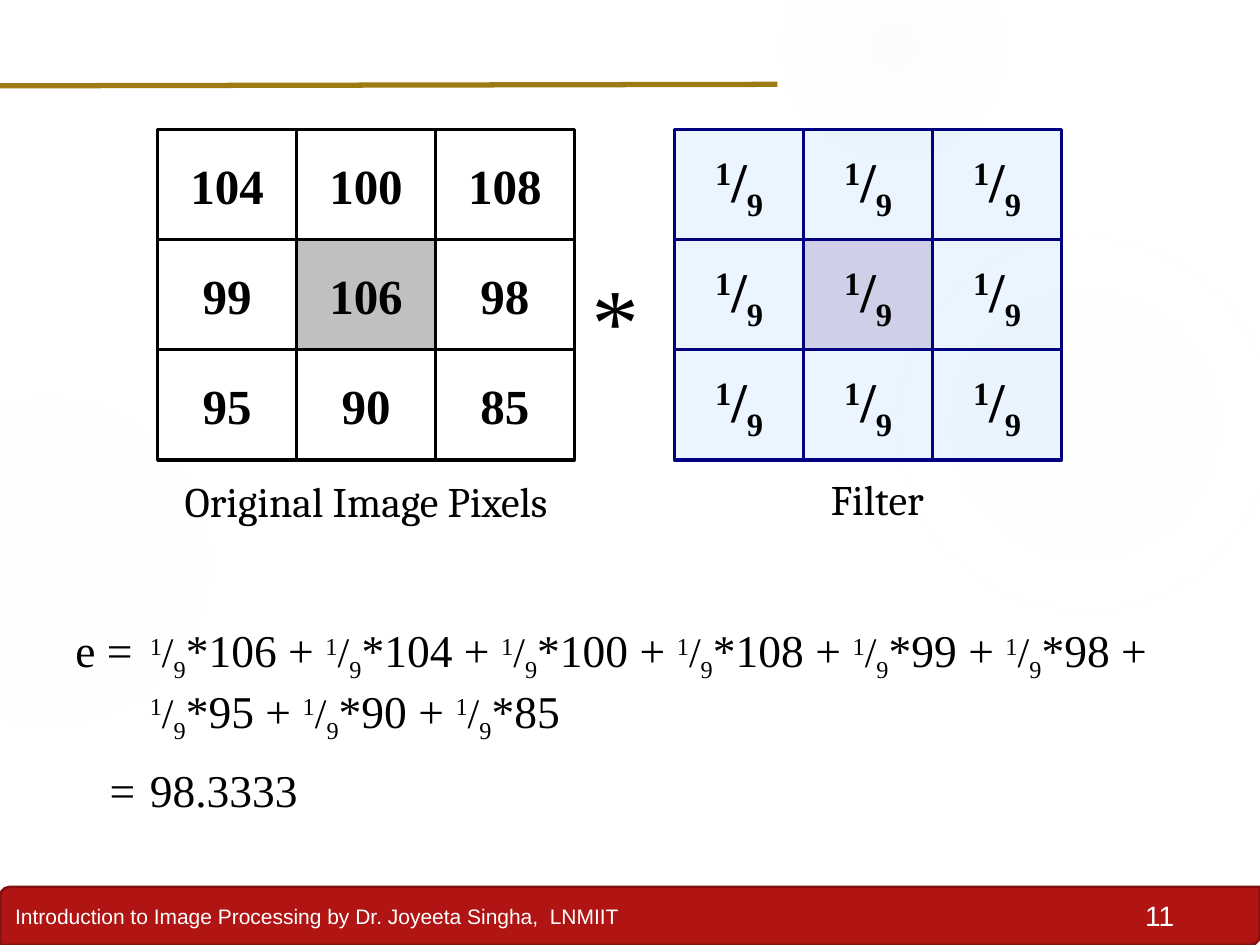
from lxml import etree
from pptx import Presentation
from pptx.dml.color import RGBColor
from pptx.enum.shapes import MSO_CONNECTOR, MSO_SHAPE
from pptx.enum.text import MSO_ANCHOR, PP_ALIGN
from pptx.oxml import parse_xml
from pptx.oxml.ns import nsdecls, qn
from pptx.util import Cm, Pt

RECT, OVAL, BAR = MSO_SHAPE.RECTANGLE, MSO_SHAPE.OVAL, MSO_SHAPE.ROUND_2_DIAG_RECTANGLE
LEFT, CENTER, RIGHT = PP_ALIGN.LEFT, PP_ALIGN.CENTER, PP_ALIGN.RIGHT
TOP, MIDDLE = MSO_ANCHOR.TOP, MSO_ANCHOR.MIDDLE
SUPER, SUB = 30, -25

# Content
PIXELS = [[104, 100, 108], [99, 106, 98], [95, 90, 85]]
TERM_LINES = [[106, 104, 100, 108, 99, 98], [95, 90, 85]]
RESULT = "98.3333"
FOOTER = "Introduction to Image Processing by Dr. Joyeeta Singha,  LNMIIT"
PAGE = "11"
# Background circles: left, top, diameter (cm), gradient stops (position %, opacity %)
CIRCLES = [
    (17.96, 4.65, 7.82, [(0, 7), (36, 6), (69, 0)]),
    (15.8, -1.27, 4.45, [(0, 14), (36, 7), (73, 0)]),
    (-2.34, 8.05, 6.55, [(0, 8), (36, 8), (72, 0)]),
]

# Grids (cm)
GRID_TOP, ROW_H = 2.61, 2.22
PIXEL_LEFT, PIXEL_W = 3.18, 2.8
FILTER_LEFT, FILTER_W = 13.6, 2.6

THEME = {
    "serif": "Times New Roman", "caption": "Cambria", "sans": "Arial",
    "black": "000000", "white": "FFFFFF", "grey": "C0C0C0",
    "red": "B01513", "dark_red": "82100E", "gold": "9E7B12",
    "sky": "99CCFF", "navy": "000080", "halo": "F3F3F3",
    "cell": 28, "weight": 32, "equation": 26, "fraction": 24,
    "label": 24, "star": 54, "footer": 12, "page": 16,
}


def color(name):
    return RGBColor.from_string(THEME[name])


def add_run(p, text, size, font="serif", ink="black", bold=False, italic=False, base=0):
    r = p.add_run()
    r.text = text
    f = r.font
    f.name, f.size = THEME[font], Pt(THEME[size])
    f.bold, f.italic = bold, italic
    f.color.rgb = color(ink)
    if base:
        r._r.get_or_add_rPr().set("baseline", str(base * 1000))


def add_fraction(p, size, bold=False):
    for text, base in (("1", SUPER), ("/", 0), ("9", SUB)):
        add_run(p, text, size, bold=bold, base=base)


def first_paragraph(s, align, anchor=TOP, wrap=True):
    tf = s.text_frame
    tf.word_wrap, tf.vertical_anchor = wrap, anchor
    p = tf.paragraphs[0]
    p.alignment = align
    return p


def add_box(shapes, kind, x, y, w, h, fill=None, line=None, width=2, opacity=100):
    s = shapes.add_shape(kind, Cm(x), Cm(y), Cm(w), Cm(h))
    s.shadow.inherit = False
    if fill:
        s.fill.solid()
        s.fill.fore_color.rgb = color(fill)
        if opacity < 100:
            clr = s.fill._xPr.find(qn("a:solidFill"))[0]
            etree.SubElement(clr, qn("a:alpha"), val=str(opacity * 1000))
    if line:
        s.line.color.rgb = color(line)
        s.line.width = Pt(width)
    else:
        s.line.fill.background()
    return s


def add_circle(shapes, x, y, d, stops):
    s = add_box(shapes, OVAL, x, y, d, d)
    gs = "".join(
        f'<a:gs pos="{pos * 1000}"><a:srgbClr val="{THEME["halo"]}">'
        f'<a:alpha val="{a * 1000}"/></a:srgbClr></a:gs>' for pos, a in stops)
    grad = parse_xml(
        f'<a:gradFill {nsdecls("a")} rotWithShape="1"><a:gsLst>{gs}</a:gsLst><a:path path="circle">'
        '<a:fillToRect l="50000" t="50000" r="50000" b="50000"/></a:path></a:gradFill>')
    s._element.spPr.find(qn("a:prstGeom")).addnext(grad)


def add_text(shapes, x, y, w, h, align, wrap=True):
    tb = shapes.add_textbox(Cm(x), Cm(y), Cm(w), Cm(h))
    return tb, first_paragraph(tb, align, wrap=wrap)


def set_tabs(p, *stops):
    tabs = etree.SubElement(p._p.get_or_add_pPr(), qn("a:tabLst"))
    for stop in stops:
        etree.SubElement(tabs, qn("a:tab"), pos=str(Cm(stop)), algn="l")


def add_grid(shapes, left, cell_w, fills, line, opacity, write):
    plain, middle = fills
    for row in range(3):
        for col in range(3):
            fill = middle if row == col == 1 else plain
            s = add_box(shapes, RECT, left + col * cell_w, GRID_TOP + row * ROW_H,
                        cell_w, ROW_H, fill, line, opacity=opacity)
            write(first_paragraph(s, CENTER, MIDDLE, wrap=False), row, col)


def write_weight(p, row, col):
    add_fraction(p, "weight", bold=True)


def write_pixel(p, row, col):
    add_run(p, str(PIXELS[row][col]), "cell", bold=True)


def add_equation(shapes):
    tb, p = add_text(shapes, 1.27, 12.42, 23.55, 3.99, LEFT)
    set_tabs(p, 1.5)
    add_run(p, "e = \t", "equation")
    for i, values in enumerate(TERM_LINES):
        if i:
            p.add_line_break()
            add_run(p, "\t", "equation")
        for j, value in enumerate(values):
            last = i == len(TERM_LINES) - 1 and j == len(values) - 1
            add_fraction(p, "fraction")
            add_run(p, f"*{value}" + ("" if last else " + "), "equation")
    p = tb.text_frame.add_paragraph()
    p.space_before = Pt(10.5)
    set_tabs(p, 0.69, 1.5)
    add_run(p, f"\t=\t{RESULT}", "equation")


def main():
    prs = Presentation()
    prs.slide_width, prs.slide_height = Cm(25.4), Cm(19.05)
    shapes = prs.slides.add_slide(prs.slide_layouts[6]).shapes

    # Footer bar, background circles, page number, title rule
    bar = add_box(shapes, BAR, 0, 17.88, 25.4, 1.17, "red", "dark_red", 1.5)
    add_run(first_paragraph(bar, LEFT, MIDDLE), FOOTER, "footer", "sans", "white")
    for circle in CIRCLES:
        add_circle(shapes, *circle)
    _, p = add_text(shapes, 22.02, 17.98, 1.9, 0.94, RIGHT)
    add_run(p, PAGE, "page", "sans", "white")
    rule = shapes.add_connector(MSO_CONNECTOR.STRAIGHT, Cm(-0.05), Cm(1.73), Cm(15.67), Cm(1.7))
    rule.line.color.rgb = color("gold")
    rule.line.width = Pt(3)
    etree.SubElement(rule._element.spPr, qn("a:effectLst"))

    # Filter weights, equation, pixel values
    add_grid(shapes, FILTER_LEFT, FILTER_W, ("sky", "navy"), "navy", 19, write_weight)
    add_equation(shapes)
    add_grid(shapes, PIXEL_LEFT, PIXEL_W, ("white", "grey"), "black", 100, write_pixel)

    # Captions and convolution sign
    for text, x, y, w in (("Filter", 15.16, 9.42, 5.05),
                          ("Original Image Pixels", 2.06, 9.47, 10.64)):
        _, p = add_text(shapes, x, y, w, 1.27, CENTER)
        add_run(p, text, "label", "caption")
    _, p = add_text(shapes, 11.58, 5.13, 1.47, 2.54, CENTER, wrap=False)
    add_run(p, "*", "star", italic=True)

    prs.save("out.pptx")


if __name__ == "__main__":
    main()
